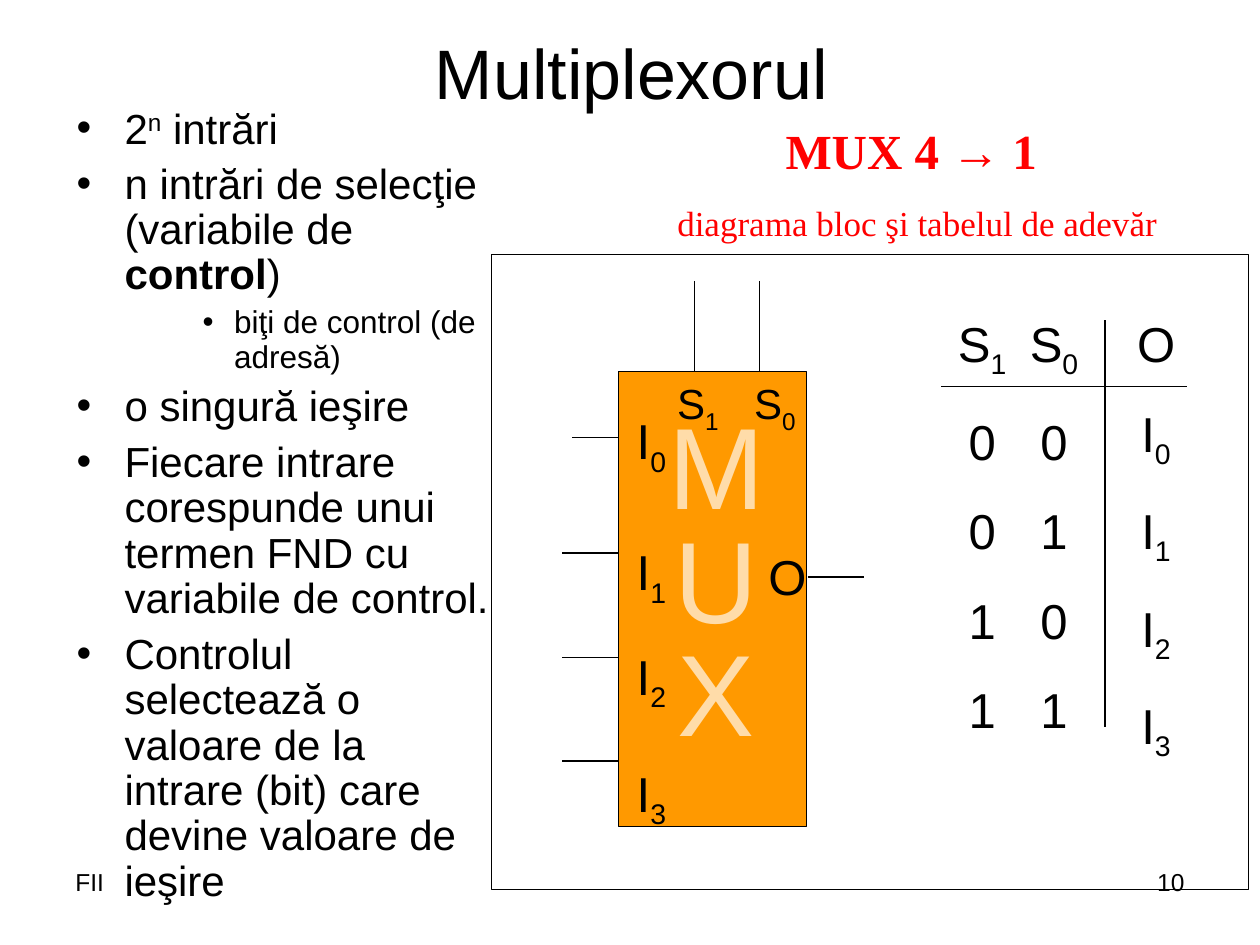
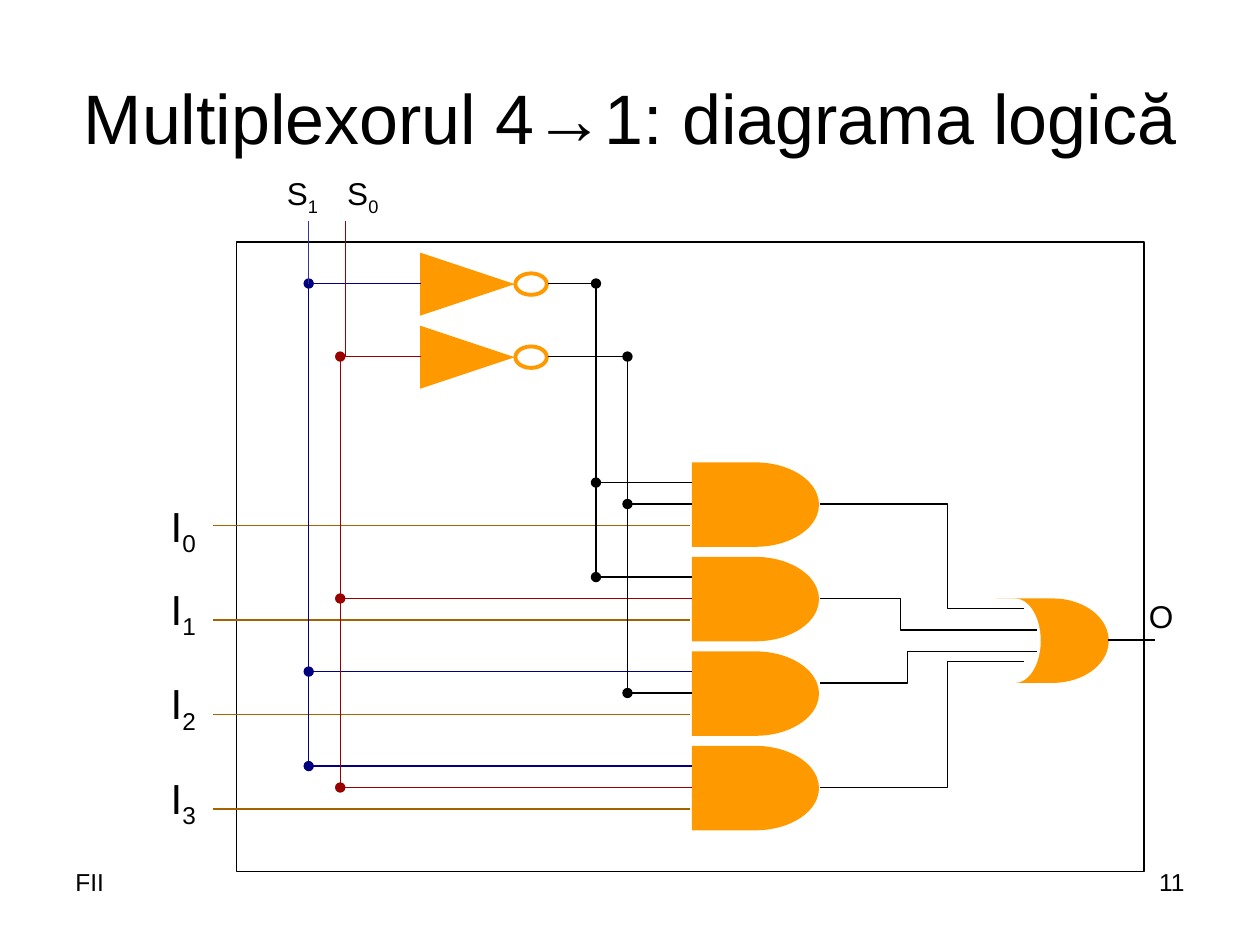
"""Builds two slides on the 4-to-1 multiplexer: block diagram and logic diagram."""
from dataclasses import dataclass
from typing import NamedTuple, Optional

from lxml import etree
from pptx import Presentation
from pptx.dml.color import RGBColor
from pptx.enum.shapes import MSO_CONNECTOR, MSO_SHAPE
from pptx.enum.text import MSO_ANCHOR, MSO_AUTO_SIZE, PP_ALIGN
from pptx.oxml.ns import qn
from pptx.util import Inches, Pt

LEFT, MID, RIGHT = PP_ALIGN.LEFT, PP_ALIGN.CENTER, PP_ALIGN.RIGHT
TOP, CENTER = MSO_ANCHOR.TOP, MSO_ANCHOR.MIDDLE
GROW, FIXED = MSO_AUTO_SIZE.SHAPE_TO_FIT_TEXT, MSO_AUTO_SIZE.NONE
STRAIGHT = MSO_CONNECTOR.STRAIGHT
RECT, DELAY = MSO_SHAPE.RECTANGLE, MSO_SHAPE.FLOWCHART_DELAY
MERGE, RING = MSO_SHAPE.FLOWCHART_MERGE, MSO_SHAPE.FLOWCHART_CONNECTOR


@dataclass(frozen=True)
class Theme:
    sans: str = "Arial"
    serif: str = "Times New Roman"
    black: str = "000000"
    white: str = "FFFFFF"
    orange: str = "FF9900"
    cream: str = "FFDCA9"
    red: str = "FF0000"
    brown: str = "A46200"
    navy: str = "000080"
    indigo: str = "333399"
    maroon: str = "990000"
    title: float = 40
    giant: float = 66
    large: float = 28
    text: float = 24
    lead: float = 20
    small: float = 18
    foot: float = 14
    thin: float = 0.75
    thick: float = 2.25


T = Theme()


class Run(NamedTuple):
    text: str
    base: int = 0
    bold: bool = False
    font: str = T.sans


class Para(NamedTuple):
    runs: list[Run]
    size: float
    align: PP_ALIGN = MID
    color: str = T.black
    gap: float = 0.625
    space: Optional[float] = None
    bullet: Optional[tuple[float, float]] = None


class Box(NamedTuple):
    left: float
    top: float
    width: float
    height: float


class Wire(NamedTuple):
    x1: float
    y1: float
    x2: float
    y2: float
    color: str = T.black
    dot: bool = False


def sub(name: str, digit: int) -> list[Run]:
    """Return a letter with a lowered digit."""
    return [Run(name), Run(str(digit), -25)]


def plain(text: str, size: float, align: PP_ALIGN = MID, gap: float = 0.625) -> Para:
    """Return a paragraph with a single run."""
    return Para([Run(text)], size, align, gap=gap)


def add_bullet(para, left: float, hang: float) -> None:
    """Give a paragraph a hanging round bullet."""
    props = para._p.get_or_add_pPr()
    props.set("marL", str(Inches(left)))
    props.set("indent", str(-Inches(hang)))
    tint = etree.SubElement(props, qn("a:buClr"))
    etree.SubElement(tint, qn("a:srgbClr")).set("val", T.black)
    etree.SubElement(props, qn("a:buFont")).set("typeface", T.sans)
    etree.SubElement(props, qn("a:buChar")).set("char", "•")


def add_text(slide, box: Box, paras: list[Para], grow: bool = True,
             anchor: MSO_ANCHOR = TOP, wrap: bool = True) -> None:
    """Write paragraphs run by run into a text box."""
    frame = slide.shapes.add_textbox(*map(Inches, box)).text_frame
    frame.word_wrap = wrap
    frame.auto_size = GROW if grow else FIXED
    frame.vertical_anchor = anchor
    for i, item in enumerate(paras):
        para = frame.add_paragraph() if i else frame.paragraphs[0]
        para.alignment = item.align
        para.space_before = Pt(item.size * item.gap)
        if item.space:
            para.line_spacing = item.space
        if item.bullet:
            add_bullet(para, *item.bullet)
        for part in item.runs:
            run = para.add_run()
            run.text = part.text
            run.font.size = Pt(item.size)
            run.font.name = part.font
            run.font.bold = part.bold
            run.font.color.rgb = RGBColor.from_string(item.color)
            if part.base:
                run._r.get_or_add_rPr().set("baseline", str(part.base * 1000))


def paint(shape, fill: Optional[str], line: Optional[str], width: float = T.thin) -> None:
    """Set the fill and outline of a shape and drop its shadow."""
    shape.shadow.inherit = False
    if fill:
        shape.fill.solid()
        shape.fill.fore_color.rgb = RGBColor.from_string(fill)
    else:
        shape.fill.background()
    if line:
        shape.line.color.rgb = RGBColor.from_string(line)
        shape.line.width = Pt(width)
    else:
        shape.line.fill.background()


def add_shape(slide, kind: MSO_SHAPE, box: Box, fill: Optional[str] = None,
              line: Optional[str] = None, width: float = T.thin, turn: float = 0) -> None:
    """Draw a preset shape."""
    shape = slide.shapes.add_shape(kind, *map(Inches, box))
    shape.rotation = turn
    paint(shape, fill, line, width)


def add_wire(slide, wire: Wire) -> None:
    """Draw a straight wire, with a dot at its end if asked."""
    link = slide.shapes.add_connector(STRAIGHT, *map(Inches, wire[:4]))
    link.line.color.rgb = RGBColor.from_string(wire.color)
    link.line.width = Pt(T.thin)
    if wire.dot:
        line = link.line._get_or_add_ln()
        etree.SubElement(line, qn("a:tailEnd")).set("type", "oval")
    etree.SubElement(link._element.spPr, qn("a:effectLst"))


def add_bend(slide, start: float, mid: float, stop: float, end: float) -> None:
    """Draw a bent wire from an AND gate to the OR gate."""
    edge = 6.51
    points = [(mid, start), (mid, stop), (end, stop)]
    pen = slide.shapes.build_freeform(Inches(edge), Inches(start))
    pen.add_line_segments([(Inches(x), Inches(y)) for x, y in points], close=False)
    paint(pen.convert_to_shape(), None, T.black)


def add_frame(deck, title: str, box: Box):
    """Add a blank slide with its title."""
    slide = deck.slides.add_slide(deck.slide_layouts[6])
    add_text(slide, box, [plain(title, T.title, gap=0)], grow=False, anchor=CENTER)
    return slide


def add_foot(slide, number: int) -> None:
    """Write the page number and the footer."""
    for left, text, align in ((7.17, str(number), RIGHT), (0.5, "FII", LEFT)):
        add_text(slide, Box(left, 6.83, 2.33, 0.52), [plain(text, T.foot, align, 0)], grow=False)


def draw_block(deck) -> None:
    """Build the slide with the block diagram and truth table."""
    slide = add_frame(deck, "Multiplexorul", Box(0.51, 0.21, 9, 0.71))
    main, deep = (0.38, 0.38), (1.25, 0.25)
    points = [
        ([Run("2"), Run("n", 30), Run(" intrări")], main),
        ([Run("n intrări de selecţie (variabile de "), Run("control", bold=True), Run(")")], main),
        ([Run("biţi de control (de adresă)")], deep),
        ([Run("o singură ieşire")], main),
        ([Run("Fiecare intrare corespunde unui termen FND cu variabile de control.")], main),
        ([Run("Controlul selectează o valoare de la intrare (bit) care devine valoare de ieşire")],
         main),
    ]
    add_text(slide, Box(0.51, 0.84, 3.48, 6.46), [
        Para(runs, T.small if level == deep else T.text, LEFT, gap=0.25,
             space=0.9 if i else 0.8, bullet=level)
        for i, (runs, level) in enumerate(points)], grow=False)
    head = [Run("MUX 4 ", bold=True, font=T.serif), Run("→", bold=True),
            Run(" 1 ", bold=True, font=T.serif)]
    note = [Run("diagrama bloc şi tabelul de adevăr", font=T.serif)]
    add_text(slide, Box(5.24, 0.91, 4.08, 1.08),
             [Para(head, T.large, color=T.red), Para(note, T.lead, color=T.red)])

    add_shape(slide, RECT, Box(3.9, 2.02, 6.01, 5.04), T.white, T.black)
    add_shape(slide, RECT, Box(4.91, 2.95, 1.49, 3.61), T.orange, T.black)
    add_text(slide, Box(4.91, 3.16, 0.52, 3.49),
             [Para(sub("I", i), T.large, space=space)
              for i, space in enumerate((1.1, 1.5, 1.1, 1.3))])
    for digit, left in ((1, 5.21), (0, 5.82)):
        add_text(slide, Box(left, 2.95, 0.66, 0.56), [Para(sub("S", digit), T.text)])
    add_text(slide, Box(6, 4.29, 0.5, 0.57), [plain("O", T.large)], wrap=False)
    for x in (5.51, 6.03):
        add_wire(slide, Wire(x, 2.23, x, 2.95))
    for y, end in ((3.47, 4.54), (4.39, 4.46), (5.22, 4.46), (6.04, 4.46)):
        add_wire(slide, Wire(4.91, y, end, y))
    add_wire(slide, Wire(6.41, 4.58, 6.86, 4.58))

    add_shape(slide, RECT, Box(7.23, 2.44, 2.35, 4.41), T.white)
    add_wire(slide, Wire(8.77, 2.54, 8.77, 5.77))
    add_wire(slide, Wire(7.47, 3.07, 9.42, 3.07))
    for digit, bits, left, width in ((1, "0011", 7.31, 0.97), (0, "0101", 8.04, 0.65)):
        add_text(slide, Box(left, 2.44, width, 3.47),
                 [Para(sub("S", digit), T.large)] + [plain(bit, T.large) for bit in bits])
    add_text(slide, Box(8.85, 2.44, 0.65, 3.67),
             [plain("O", T.large)] + [Para(sub("I", i), T.large) for i in range(4)])
    add_text(slide, Box(5, 3.73, 1.37, 2.24),
             [Para([Run(mark)], T.giant, color=T.cream, space=0.3) for mark in "MUX"])
    add_foot(slide, 10)


def draw_logic(deck) -> None:
    """Build the slide with the logic diagram."""
    slide = add_frame(deck, "Multiplexorul 4→1: diagrama logică", Box(0.5, 0.3, 9, 1.25))
    add_shape(slide, RECT, Box(1.88, 1.92, 7.2, 5), T.white, T.black)
    edge, step = 5.49, 0.75
    high, low = (2.45, T.navy), (2.7, T.maroon)
    not_high, not_low = (4.73, T.black), (4.98, T.black)

    for i, top in enumerate((3.92, 4.58, 5.33, 6.08)):
        drop = i * step
        add_shape(slide, DELAY, Box(edge, 3.67 + drop, 1.01, 0.67), T.orange)
        add_wire(slide, Wire(5.48, 4.17 + drop, 1.69, 4.17 + drop, T.brown))
        add_text(slide, Box(1.22, top, 0.47, 0.56), [Para(sub("I", i), T.text)])
        taps = ((3.83, high if i & 2 else not_high), (4, low if i & 1 else not_low))
        for y, (x, color) in taps:
            add_wire(slide, Wire(edge, y + drop, x, y + drop, color, True))

    rails = ((2.25, high, not_high, 6.08, 4.58), (2.83, low, not_low, 6.25, 5.5))
    for y, (x, color), (back, dark), foot, stop in rails:
        add_shape(slide, MERGE, Box(3.46, y - 0.37, 0.5, 0.75), T.orange, turn=270)
        add_shape(slide, RING, Box(4.09, y - 0.08, 0.25, 0.17), line=T.orange, width=T.thick)
        add_wire(slide, Wire(3.34, y, x, y, color, True))
        add_wire(slide, Wire(x, y, x, foot, color))
        add_wire(slide, Wire(4.35, y, back, y, dark, True))
        add_wire(slide, Wire(back, y, back, stop, dark))

    for digit, left, x, y, color in ((1, 2.07, 2.45, 2.25, T.indigo),
                                     (0, 2.55, 2.74, 2.83, T.maroon)):
        add_text(slide, Box(left, 1.33, 0.66, 0.44), [Para(sub("S", digit), T.small)])
        add_wire(slide, Wire(x, y, x, 1.75, color))

    add_shape(slide, DELAY, Box(7.91, 4.75, 0.89, 0.67), T.orange)
    add_shape(slide, DELAY, Box(7.85, 4.75, 0.41, 0.67), T.white)
    add_wire(slide, Wire(8.79, 5.08, 9.17, 5.08))
    for bend in ((4, 7.52, 4.83, 8.13), (4.75, 7.15, 5, 8.23),
                 (5.42, 7.2, 5.17, 8.23), (6.25, 7.52, 5.25, 8.13)):
        add_bend(slide, *bend)
    add_text(slide, Box(9.02, 4.69, 0.24, 0.4), [plain("O", T.small, LEFT)])
    add_foot(slide, 11)


def main() -> None:
    """Build and save the deck."""
    deck = Presentation()
    deck.slide_width, deck.slide_height = Inches(10), Inches(7.5)
    draw_block(deck)
    draw_logic(deck)
    deck.save("out.pptx")


if __name__ == "__main__":
    main()
